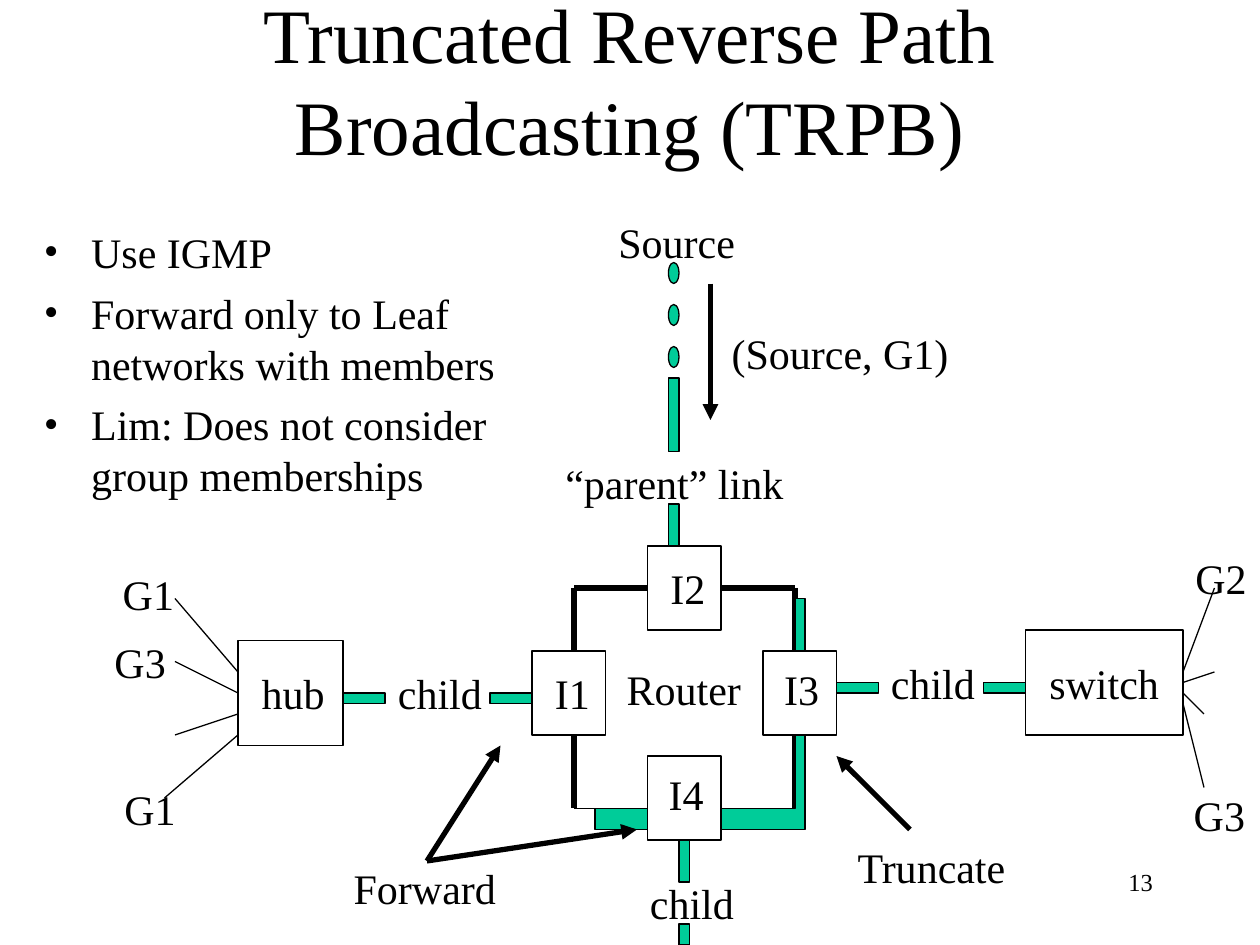
from dataclasses import dataclass
from typing import Optional

from lxml.etree import SubElement
from pptx import Presentation
from pptx.dml.color import RGBColor
from pptx.enum.shapes import MSO_CONNECTOR as Conn, MSO_SHAPE as Shape
from pptx.enum.text import MSO_ANCHOR as Anchor, MSO_AUTO_SIZE as Auto, PP_ALIGN as Align
from pptx.oxml.ns import qn
from pptx.util import Pt

COLORS = {"ink": "000000", "link": "00CC99"}
FONT = "Times New Roman"
THIN, THICK = 0.75, 3
LINK = 6
TOP, LEFT, BOTTOM, RIGHT = range(4)


@dataclass
class Box:
    x: float
    y: float
    w: float
    h: float
    kind: Shape = Shape.RECTANGLE
    fill: Optional[str] = None


@dataclass
class Label:
    text: str
    x: float
    y: float
    w: float


@dataclass
class Line:
    x1: float
    y1: float
    x2: float
    y2: float
    width: float = THIN
    arrow: bool = False
    node: str = ""
    site: int = TOP


NODES = {
    "I1": Box(304, 372, 42, 48),
    "I2": Box(370, 312, 42, 48),
    "I3": Box(436, 372, 42, 48),
    "I4": Box(370, 432, 42, 48),
    "hub": Box(136, 366, 60, 60),
    "switch": Box(586, 360, 90, 60),
}

LINES = [
    Line(328, 372, 328, 336, THICK),
    Line(370, 336, 328, 336, THICK, node="I2", site=LEFT),
    Line(412, 336, 454.3, 336, THICK, node="I2", site=RIGHT),
    Line(454.3, 336, 454.3, 372, THICK),
    Line(328, 420, 328, 462, THICK),
    Line(454.3, 420, 454.3, 462, THICK),
    Line(328, 462, 370, 462),
    Line(412, 462, 454.3, 462),
    Line(136, 384, 100, 342),
    Line(136, 396, 100, 378, node="hub", site=LEFT),
    Line(136, 408, 100, 420),
    Line(136, 420, 94, 456),
    Line(676, 384, 694, 336),
    Line(676, 390, 694, 384, node="switch", site=RIGHT),
    Line(676, 396, 688, 408),
    Line(676, 402, 688, 450),
]

ARROWS = [
    Line(406, 162, 406, 240, THICK, True),
    Line(244, 492, 286, 426, THICK, True),
    Line(244, 492, 364, 474, THICK, True),
    Line(520, 474, 478, 432, THICK, True),
]

DOTS = [Box(382, 150 + 24 * i, LINK, 12, Shape.OVAL, "link") for i in range(3)]
UPRIGHT = [Box(x, y, LINK, h, fill="link")
           for x, y, h in [(382, 216, 42), (382, 288, 24), (388, 480, 24), (388, 528, 12)]]
LEVEL = [Box(x, y, 24, LINK, fill="link")
         for x, y in [(478, 390), (280, 396), (562, 390), (196, 396)]]

BENDS = [
    [(454.3, 372), (460, 372), (460, 342), (454.3, 342)],
    [(340, 462), (340, 474), (370, 474), (370, 462)],
    [(412, 462), (412, 474), (460, 474), (460, 420), (454.3, 420), (454.3, 462)],
]

LABELS = [
    Label("Source", 346.3, 120, 83),
    Label("(Source, G1)", 411, 183.6, 140),
    Label("“parent” link", 316, 258, 141),
    Label("I1", 310, 378, 36),
    Label("I2", 376, 318, 36),
    Label("I3", 441, 375.5, 36),
    Label("I4", 375, 435.6, 36),
    Label("Router", 351, 375.5, 82),
    Label("child", 220.3, 378, 65),
    Label("child", 502, 372, 65),
    Label("child", 364.3, 498, 65),
    Label("hub", 142.5, 378, 53),
    Label("switch", 592.5, 372, 79),
    Label("G1", 63, 321.5, 46),
    Label("G3", 58.3, 360, 46),
    Label("G1", 64, 444, 46),
    Label("G2", 676, 312, 46),
    Label("G3", 675, 447.5, 46),
    Label("Forward", 195, 489.6, 98),
    Label("Truncate", 483, 477.4, 102),
]

BULLETS = [
    "Use IGMP",
    "Forward only to Leaf networks with members",
    "Lim: Does not consider group memberships",
]


def color(name: str) -> RGBColor:
    """Return the named colour."""
    return RGBColor.from_string(COLORS[name])


def style(s, fill: Optional[str]) -> None:
    """Give a shape its fill and thin outline."""
    s.shadow.inherit = False
    if fill:
        s.fill.solid()
        s.fill.fore_color.rgb = color(fill)
    else:
        s.fill.background()
    s.line.color.rgb = color("ink")
    s.line.width = Pt(THIN)


def add_box(slide, b: Box):
    """Draw a preset shape."""
    s = slide.shapes.add_shape(b.kind, Pt(b.x), Pt(b.y), Pt(b.w), Pt(b.h))
    style(s, b.fill)
    return s


def add_bend(slide, points: list) -> None:
    """Draw a closed green outline."""
    fb = slide.shapes.build_freeform(Pt(points[0][0]), Pt(points[0][1]), scale=1.0)
    fb.add_line_segments([(Pt(x), Pt(y)) for x, y in points[1:]], close=True)
    style(fb.convert_to_shape(), "link")


def add_line(slide, ln: Line, nodes: dict) -> None:
    """Draw a line, joined to a node or arrowed where asked."""
    c = slide.shapes.add_connector(Conn.STRAIGHT, Pt(ln.x1), Pt(ln.y1), Pt(ln.x2), Pt(ln.y2))
    if ln.node:
        c.begin_connect(nodes[ln.node], ln.site)
    c.line.color.rgb = color("ink")
    c.line.width = Pt(ln.width)
    if ln.arrow:
        SubElement(c.line._get_or_add_ln(), qn("a:tailEnd"), type="triangle")
    SubElement(c._element.spPr, qn("a:effectLst"))


def add_text(slide, box: Box, lines: list, size: float = 24, align=Align.LEFT,
             anchor=Anchor.TOP, wrap: bool = True, bullets: bool = False) -> None:
    """Write paragraphs in a text box."""
    tf = slide.shapes.add_textbox(Pt(box.x), Pt(box.y), Pt(box.w), Pt(box.h)).text_frame
    tf.word_wrap = wrap
    tf.auto_size = Auto.NONE if wrap else Auto.SHAPE_TO_FIT_TEXT
    tf.vertical_anchor = anchor
    for i, line in enumerate(lines):
        p = tf.paragraphs[0] if i == 0 else tf.add_paragraph()
        p.alignment = align
        if bullets:
            pPr = p._p.get_or_add_pPr()
            pPr.set("marL", str(Pt(27)))
            pPr.set("indent", str(-Pt(27)))
            SubElement(pPr, qn("a:buFont"), typeface=FONT)
            SubElement(pPr, qn("a:buChar"), char="•")
            if i:
                p.space_before = Pt(6)
        r = p.add_run()
        r.text = line
        r.font.name = FONT
        r.font.size = Pt(size)
        r.font.color.rgb = color("ink")


def main() -> None:
    """Build the slide and save it."""
    prs = Presentation()
    prs.slide_width, prs.slide_height = Pt(720), Pt(540)
    slide = prs.slides.add_slide(prs.slide_layouts[6])
    add_text(slide, Box(54, 0, 612, 90), ["Truncated Reverse Path Broadcasting (TRPB)"],
             44, Align.CENTER, Anchor.MIDDLE)
    add_text(slide, Box(18, 126, 282, 162), BULLETS, bullets=True)
    add_text(slide, Box(516, 492, 150, 36), ["13"], 14, Align.RIGHT)
    nodes = {name: add_box(slide, b) for name, b in NODES.items()}
    for ln in LINES:
        add_line(slide, ln, nodes)
    for b in DOTS + UPRIGHT + LEVEL:
        add_box(slide, b)
    for points in BENDS:
        add_bend(slide, points)
    for ln in ARROWS:
        add_line(slide, ln, nodes)
    for lb in LABELS:
        add_text(slide, Box(lb.x, lb.y, lb.w, 36), [lb.text], wrap=False)
    prs.save("out.pptx")


if __name__ == "__main__":
    main()
